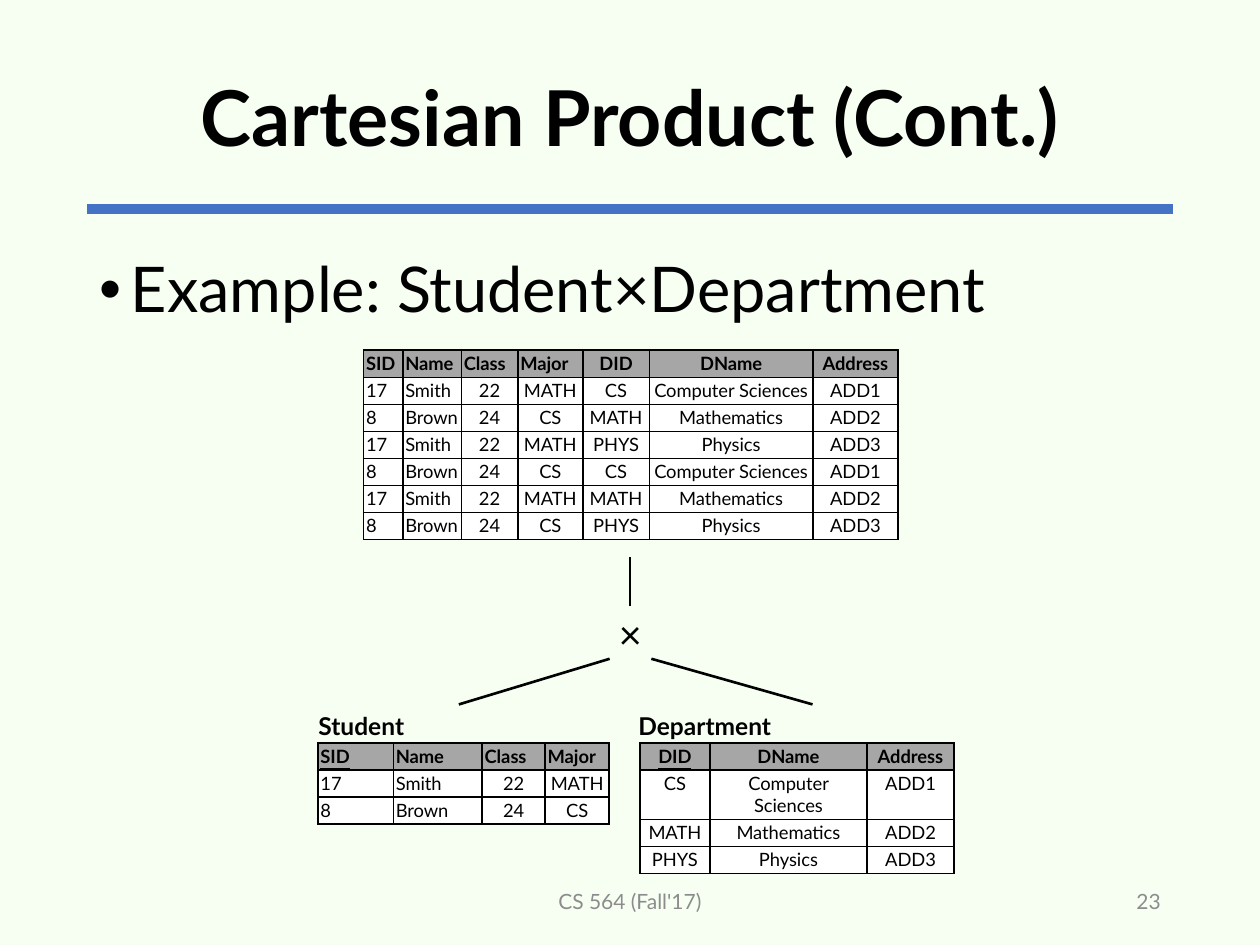
from lxml.etree import SubElement
from pptx import Presentation
from pptx.dml.color import RGBColor
from pptx.enum.shapes import MSO_CONNECTOR, MSO_SHAPE
from pptx.enum.text import MSO_ANCHOR, MSO_AUTO_SIZE, PP_ALIGN
from pptx.oxml import parse_xml
from pptx.oxml.ns import nsdecls, qn
from pptx.util import Cm, Pt

HUES = {
    "back": "F7FFF3",
    "rule": "4472C4",
    "ink": "000000",
    "note": "8C8C8C",
    "head": "A6A6A6",
    "cell": "FFFFFF",
}
LOOKS = {
    "title": {"size": Pt(44), "name": "Lato", "bold": True},
    "body": {"size": Pt(36), "name": "Lato"},
    "note": {"size": Pt(12), "name": "Lato"},
    "times": {"size": Pt(24), "name": "Calibri"},
    "label": {"size": Pt(14), "name": "Lato", "bold": True},
    "head": {"size": Pt(10.5), "name": "Lato", "bold": True},
    "key": {"size": Pt(10.5), "name": "Lato", "bold": True, "underline": True},
    "cell": {"size": Pt(10.5), "name": "Lato", "bold": False},
}
STUDENT = [
    ("SID", "Name", "Class", "Major"),
    ("17", "Smith", "22", "MATH"),
    ("8", "Brown", "24", "CS"),
]
DEPT = [
    ("DID", "DName", "Address"),
    ("CS", "Computer Sciences", "ADD1"),
    ("MATH", "Mathematics", "ADD2"),
    ("PHYS", "Physics", "ADD3"),
]
LEFT, MID, RIGHT = PP_ALIGN.LEFT, PP_ALIGN.CENTER, PP_ALIGN.RIGHT
ROW = 0.54


def shade(hue):
    return RGBColor.from_string(HUES[hue])


def style(thing, values):
    for name, value in values.items():
        setattr(thing, name, value)


def write(frame, text, look, align=LEFT, hue="ink"):
    para = frame.paragraphs[0]
    para.alignment = align
    run = para.add_run()
    run.text = text
    style(run.font, LOOKS[look])
    run.font.color.rgb = shade(hue)
    return para


def add_text(slide, box, text, look, align=LEFT, hue="ink", anchor=MSO_ANCHOR.TOP, wrap=True):
    frame = slide.shapes.add_textbox(*map(Cm, box)).text_frame
    style(frame, {"word_wrap": wrap, "vertical_anchor": anchor})
    return write(frame, text, look, align, hue)


def add_title(slide, box, text):
    title = slide.shapes.title
    style(title, dict(zip(("left", "top", "width", "height"), map(Cm, box))))
    frame = title.text_frame
    style(frame, {"auto_size": MSO_AUTO_SIZE.NONE, "word_wrap": True, "vertical_anchor": MSO_ANCHOR.MIDDLE})
    write(frame, text, "title", MID).line_spacing = 0.9


def add_point(slide, box, text):
    para = add_text(slide, box, text, "body")
    style(para, {"line_spacing": 0.9, "space_before": Pt(10)})
    props = para._p.get_or_add_pPr()
    props.set("marL", str(Cm(0.64)))
    props.set("indent", str(-Cm(0.64)))
    SubElement(props, qn("a:buFont")).set("typeface", "Arial")
    SubElement(props, qn("a:buChar")).set("char", "•")


def add_line(slide, ends, hue="ink", width=1.5):
    line = slide.shapes.add_connector(MSO_CONNECTOR.STRAIGHT, *map(Cm, ends))
    line.line.color.rgb = shade(hue)
    line.line.width = Pt(width)
    SubElement(line._element.spPr, qn("a:effectLst"))


def add_times(slide, box):
    node = slide.shapes.add_shape(MSO_SHAPE.OVAL, *map(Cm, box))
    node.shadow.inherit = False
    node.fill.background()
    node.line.fill.background()
    style(node.text_frame, {"word_wrap": False, "vertical_anchor": MSO_ANCHOR.MIDDLE})
    write(node.text_frame, "×", "times", MID)


def add_edges(cell):
    props = cell._tc.get_or_add_tcPr()
    for spot, side in enumerate("LRTB"):
        props.insert(spot, parse_xml(
            f'<a:ln{side} {nsdecls("a")} w="{Pt(1)}"><a:solidFill>'
            f'<a:srgbClr val="{HUES["ink"]}"/></a:solidFill></a:ln{side}>'
        ))


def add_grid(slide, left, top, widths, rows, key=None, tall=None):
    heights = [(tall or {}).get(i, ROW) for i in range(len(rows))]
    size = (left, top, sum(widths), sum(heights))
    grid = slide.shapes.add_table(len(rows), len(widths), *map(Cm, size)).table
    for col, width in zip(grid.columns, widths):
        col.width = Cm(width)
    for row, height in zip(grid.rows, heights):
        row.height = Cm(height)
    pads = {f"margin_{side}": Cm(0.05) for side in ("left", "right", "top", "bottom")}
    for r, row in enumerate(rows):
        flush = ("SID", "Name") if r else STUDENT[0]
        for c, (name, text) in enumerate(zip(rows[0], row)):
            cell = grid.cell(r, c)
            style(cell, pads)
            kind = "cell" if r else "head"
            cell.fill.solid()
            cell.fill.fore_color.rgb = shade(kind)
            look = "key" if text == key else kind
            write(cell.text_frame, text, look, LEFT if name in flush else MID)
            add_edges(cell)


def main():
    deck = Presentation()
    style(deck, {"slide_width": Cm(25.4), "slide_height": Cm(19.05)})
    slide = deck.slides.add_slide(deck.slide_layouts[5])
    slide.background.fill.solid()
    slide.background.fill.fore_color.rgb = shade("back")

    add_line(slide, (1.75, 4.21, 23.65, 4.21), "rule", 6)
    add_title(slide, (1.75, 0.61, 21.9, 3.68), "Cartesian Product (Cont.)")
    add_point(slide, (1.75, 5.08, 21.9, 12.09), "Example: Student×Department")
    middle = MSO_ANCHOR.MIDDLE
    add_text(slide, (8.41, 17.65, 8.58, 1.02), "CS 564 (Fall'17)", "note", MID, "note", middle)
    add_text(slide, (17.93, 17.65, 5.72, 1.02), "23", "note", RIGHT, "note", middle)

    pairs = zip(STUDENT[1:] * 3, [DEPT[i] for i in (1, 2, 3, 1, 2, 3)])
    product = [STUDENT[0] + DEPT[0]] + [one + two for one, two in pairs]
    add_grid(slide, 7.33, 7.06, (0.79, 1.18, 1.14, 1.31, 1.34, 3.3, 1.71), product)

    add_times(slide, (10.87, 12.17, 3.68, 1.17))
    for ends in (
        (12.7, 11.23, 12.7, 12.22),
        (12.29, 13.28, 9.25, 14.2),
        (13.13, 13.28, 16.38, 14.2),
    ):
        add_line(slide, ends)

    add_text(slide, (6.17, 14.2, 2.24, 0.86), "Student", "label", wrap=False)
    add_grid(slide, 6.41, 14.98, (1.52, 1.79, 1.27, 1.29), STUDENT, "SID")
    add_text(slide, (12.62, 14.2, 3.23, 0.86), "Department", "label", wrap=False)
    add_grid(slide, 12.9, 14.98, (1.41, 3.17, 1.75), DEPT, "DID", {1: 0.99})
    deck.save("out.pptx")


if __name__ == "__main__":
    main()
